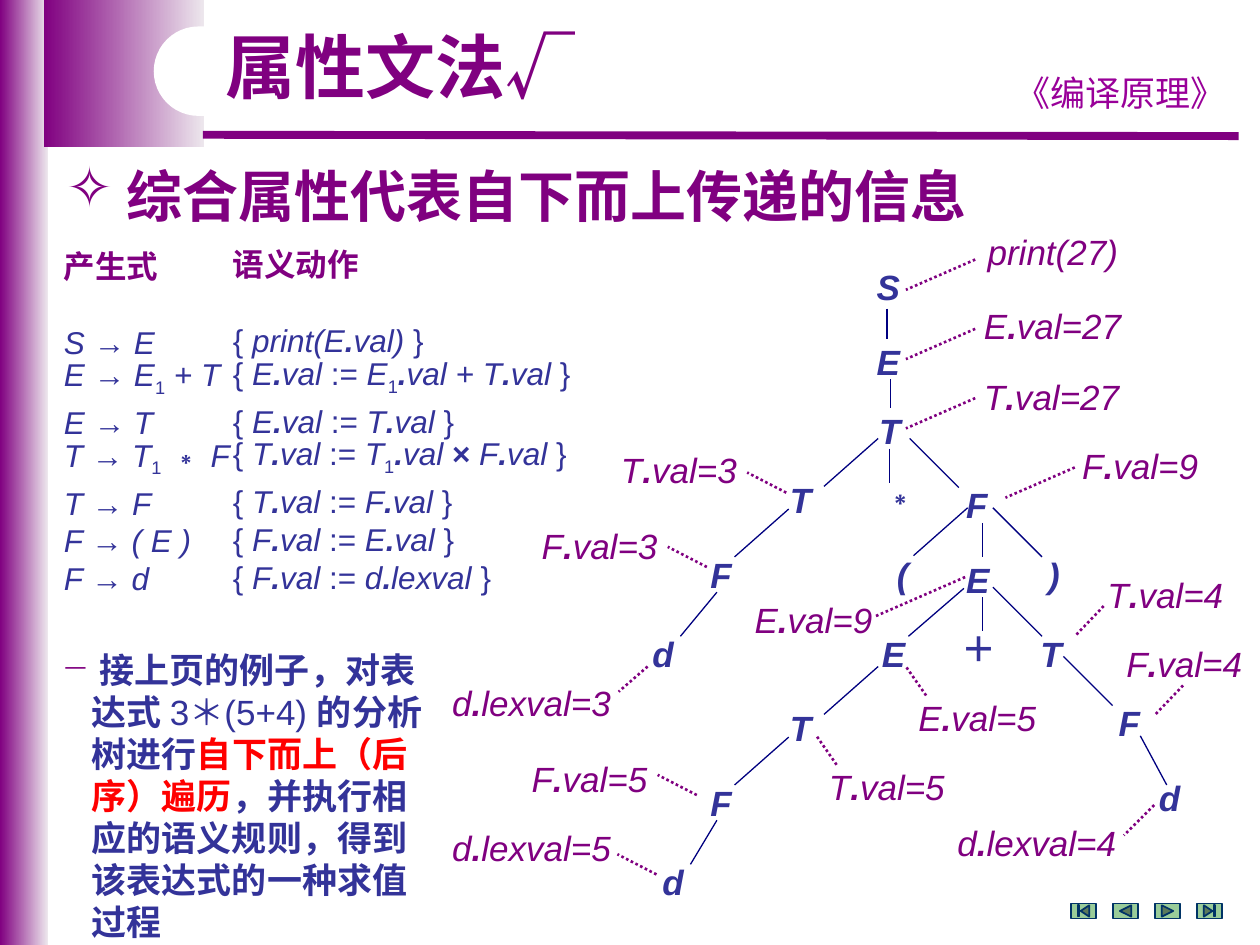
from itertools import groupby

from lxml.etree import SubElement
from pptx import Presentation
from pptx.dml.color import RGBColor
from pptx.enum.dml import MSO_LINE
from pptx.enum.shapes import MSO_CONNECTOR, MSO_SHAPE
from pptx.enum.text import MSO_ANCHOR, PP_ALIGN
from pptx.oxml.ns import qn
from pptx.util import Inches, Pt

PURPLE, INDIGO, NAVY = "800080", "333399", "000080"
CJK = "Noto Sans CJK SC"
rgb = RGBColor.from_string

prs = Presentation()
prs.slide_width, prs.slide_height = Inches(10), Inches(7.5)
s = prs.slides.add_slide(prs.slide_layouts[6])


def add_text(paras, x, y, w, h=0.43, size=20, color=PURPLE, font="Arial", bold=False,
             italic=False, wrap=True, anchor=MSO_ANCHOR.TOP, align=PP_ALIGN.LEFT,
             spacing=None, bullet=None, indent=0, before=()):
    """Each paragraph is a list of (text, format overrides) runs."""
    tf = s.shapes.add_textbox(Inches(x), Inches(y), Inches(w), Inches(h)).text_frame
    tf.word_wrap, tf.vertical_anchor = wrap, anchor
    for n, runs in enumerate(paras):
        p = tf.paragraphs[0] if n == 0 else tf.add_paragraph()
        p.alignment, p.line_spacing = align, spacing
        if n < len(before) and before[n]:
            p.space_before = Pt(before[n])
        if bullet:
            pPr = p._p.get_or_add_pPr()
            pPr.set("marL", str(Inches(indent)))
            pPr.set("indent", str(-Inches(indent)))
            SubElement(pPr, qn("a:buChar")).set("char", bullet)
        for text, fmt in runs:
            r = p.add_run()
            r.text = text
            f = r.font
            f.size, f.name = Pt(size), fmt.get("font", font)
            f.bold, f.italic = fmt.get("bold", bold), fmt.get("italic", italic)
            f.color.rgb = rgb(fmt.get("color", color))
            SubElement(r._r.rPr, qn("a:ea")).set("typeface", CJK)
            if fmt.get("sub"):
                r._r.rPr.set("baseline", "-25000")


def add_line(x1, y1, x2, y2, color=NAVY, width=0.75, dotted=False):
    c = s.shapes.add_connector(MSO_CONNECTOR.STRAIGHT, Inches(x1), Inches(y1),
                               Inches(x2), Inches(y2))
    c.line.color.rgb, c.line.width = rgb(color), Pt(width)
    if dotted:
        c.line.dash_style = MSO_LINE.ROUND_DOT
    SubElement(c._element.spPr, qn("a:effectLst"))


# Background bands and title plate
for x, w, h in [(0, 0.38, 7.5), (0.35, 1.27, 1.17)]:
    sp = s.shapes.add_shape(MSO_SHAPE.RECTANGLE, Inches(x), 0, Inches(w), Inches(h))
    sp.shadow.inherit = False
    sp.line.fill.background()
    sp.fill.gradient()
    sp.fill.gradient_angle = 0
    for stop, color in zip(sp.fill.gradient_stops, (PURPLE, "EDE7ED")):
        stop.color.rgb = rgb(color)
add_line(1.61, 1.07, 9.83, 1.08, PURPLE, 4.5)
sp = s.shapes.add_shape(MSO_SHAPE.ROUNDED_RECTANGLE, Inches(1.22), Inches(0.21),
                        Inches(3.62), Inches(0.71))
sp.adjustments[0] = 0.5
sp.shadow.inherit = False
sp.fill.solid()
sp.fill.fore_color.rgb = rgb("FFFFFF")
sp.line.fill.background()

# Titles
add_text([[("《编译原理》", {})]], 7.91, 0.52, 1.97, color="990099", font="Comic Neue",
         align=PP_ALIGN.CENTER)
add_text([[("属性文法", {}), ("√", {"font": CJK})]], 1.69, 0.21, 3.13, 0.71, size=40,
         bold=True, spacing=0.9, anchor=MSO_ANCHOR.MIDDLE)
add_text([[(" ", {"font": CJK}), ("综合属性代表自下而上传递的信息", {})]], 0.43, 1.23, 7.8,
         0.63, size=32, bold=True, bullet="✧", indent=0.375, anchor=MSO_ANCHOR.MIDDLE)

# Navigation buttons
for n, kind in enumerate([MSO_SHAPE.ACTION_BUTTON_BEGINNING,
                          MSO_SHAPE.ACTION_BUTTON_BACK_OR_PREVIOUS,
                          MSO_SHAPE.ACTION_BUTTON_FORWARD_OR_NEXT,
                          MSO_SHAPE.ACTION_BUTTON_END]):
    sp = s.shapes.add_shape(kind, Inches(8.5 + n / 3), Inches(7.17), Inches(0.2), Inches(0.12))
    sp.shadow.inherit = False
    sp.fill.solid()
    sp.fill.fore_color.rgb = rgb("99CC99")
    sp.line.color.rgb, sp.line.width = rgb("003366"), Pt(1)

# Explanation
add_text([[(" ", {"font": CJK, "color": PURPLE}), ("接上页的例子，对表达式 ", {}),
           ("3＊(5+4) ", {"bold": False}), ("的分析树进行", {}),
           ("自下而上（后序）遍历", {"color": "FF0000"}),
           ("，并执行相应的语义规则，得到该表达式的一种求值过程", {})]],
         0.39, 5.1, 3.1, 2.12, color=INDIGO, bold=True, spacing=Pt(24), bullet="−", indent=0.24)

# Productions and semantic actions: character classes decide the run format
upright = {"italic": False}
char_format = {c: upright for c in "{}:=→∗"}
char_format |= {"1": {"italic": False, "sub": True}, ".": {"bold": True},
                "×": {"italic": False, "bold": True}}
columns = [
    (0.41, 1.91, 1.6, "产生式",
     ["S → E", "E → E1 + T", "E → T", "T → T1 ∗ F", "T → F", "F → ( E )", "F → d"]),
    (1.75, 1.9, 3.04, "语义动作",
     ["{ print(E.val) }", "{ E.val := E1.val + T.val }", "{ E.val := T.val }",
      "{ T.val := T1.val × F.val }", "{ T.val := F.val }", "{ F.val := E.val }",
      "{ F.val := d.lexval }"]),
]
for x, y, w, heading, rules in columns:
    paras = [[(heading, {"color": PURPLE, "bold": True, "italic": False})]]
    for rule in rules:
        groups = groupby(rule, key=lambda c: char_format.get(c, {}))
        paras.append([("".join(chars), fmt) for fmt, chars in groups])
    add_text(paras, x, y, w, 2.83, size=18, color=INDIGO, italic=True, spacing=Pt(21.5),
             before=(0, 22, 0, 3, 0, 3))

# Tree nodes
nodes = [("S", 6.86, 2.06), ("E", 6.86, 2.65), ("T", 6.88, 3.2), ("T", 6.17, 3.75),
         ("∗", 6.91, 3.71), ("F", 7.57, 3.79), ("F", 5.54, 4.34), ("(", 7.02, 4.34),
         ("E", 7.57, 4.38), (")", 8.22, 4.34), ("d", 5.08, 4.97), ("E", 6.9, 4.97),
         ("＋", 7.53, 4.93), ("T", 8.16, 4.97), ("T", 6.17, 5.56), ("F", 8.78, 5.52),
         ("F", 5.54, 6.15), ("d", 9.1, 6.11), ("d", 5.16, 6.78)]
node_widths = {"E": 0.39, "S": 0.39, "(": 0.29, ")": 0.29, "∗": 0.34, "＋": 0.48}
for text, x, y in nodes:
    add_text([[(text, {})]], x, y, node_widths.get(text, 0.37), color=INDIGO, bold=True,
             italic=text not in "∗＋", wrap=False)

# Tree branches
for ends in [(7.04, 2.45, 7.04, 2.69), (7.07, 3.01, 7.07, 3.24), (6.97, 3.48, 6.54, 3.86),
             (7.06, 3.56, 7.06, 3.83), (7.22, 3.48, 7.61, 3.87), (6.26, 4.04, 5.83, 4.42),
             (5.69, 4.7, 5.4, 5.05), (7.68, 4.03, 7.25, 4.41), (7.8, 4.15, 7.8, 4.42),
             (7.88, 4.03, 8.27, 4.42), (7.65, 4.67, 7.21, 5.05), (7.8, 4.74, 7.8, 5.01),
             (7.88, 4.66, 8.27, 5.05), (8.44, 5.21, 8.83, 5.6), (9.05, 5.84, 9.26, 6.23),
             (6.97, 5.29, 6.54, 5.67), (6.26, 5.85, 5.83, 6.23), (5.69, 6.51, 5.48, 6.86)]:
    add_line(*ends)

# Attribute values with dotted leaders
labels = [("print(27)", 7.74, 1.78, 1.34, (7.74, 2.06, 7.19, 2.3)),
          ("E.val=27", 7.71, 2.37, 1.29, (7.74, 2.61, 7.19, 2.85)),
          ("T.val=27", 7.71, 2.93, 1.29, (7.74, 3.16, 7.19, 3.4)),
          ("F.val=9", 8.49, 3.48, 1.15, (8.53, 3.71, 7.98, 3.95)),
          ("T.val=3", 4.83, 3.51, 1.12, (6.24, 3.91, 5.93, 3.75)),
          ("F.val=3", 4.2, 4.11, 1.12, (5.61, 4.5, 5.3, 4.34)),
          ("E.val=9", 5.89, 4.7, 1.14, (7.66, 4.58, 6.95, 4.89)),
          ("T.val=4", 8.69, 4.5, 1.12, (8.76, 4.81, 8.53, 5.05)),
          ("F.val=4", 8.84, 5.05, 1.12, (9.39, 5.44, 9.16, 5.68)),
          ("d.lexval=3", 3.49, 5.36, 1.46, (5.14, 5.29, 4.91, 5.49)),
          ("E.val=5", 7.19, 5.48, 1.14, (7.35, 5.52, 7.19, 5.29)),
          ("T.val=5", 6.48, 6.03, 1.12, (6.64, 6.07, 6.48, 5.84)),
          ("F.val=5", 4.12, 5.96, 1.12, (5.53, 6.31, 5.22, 6.15)),
          ("d.lexval=4", 7.5, 6.47, 1.46, (9.16, 6.39, 8.92, 6.63)),
          ("d.lexval=5", 3.49, 6.51, 1.46, (5.21, 6.94, 4.9, 6.78))]
for text, x, y, w, leader in labels:
    runs = [(part, {"bold": part == "."}) for part in text.partition(".") if part]
    add_text([runs], x, y, w, italic=True, wrap=False)
    add_line(*leader, PURPLE, 1.5, dotted=True)

prs.save("out.pptx")
